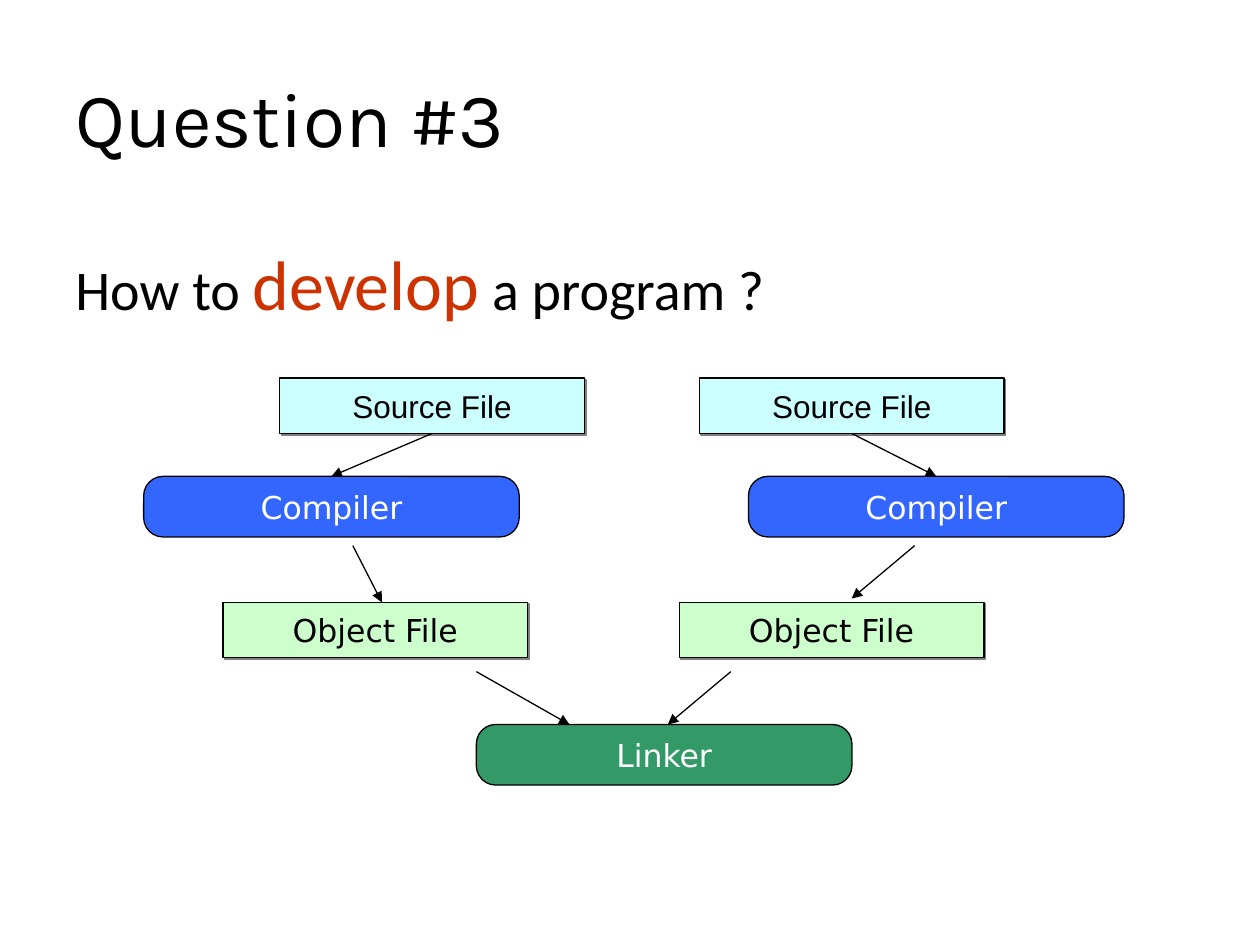
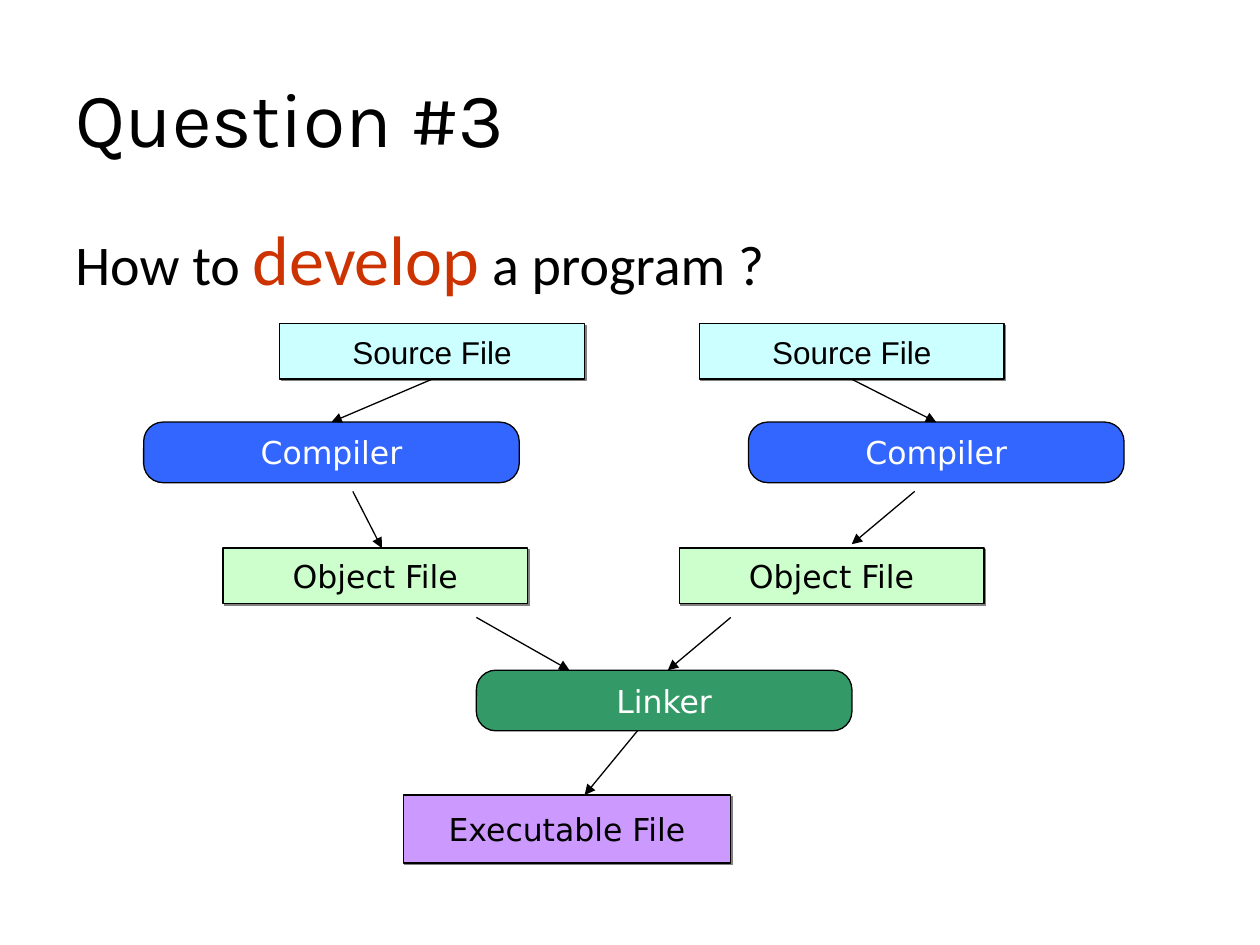
from dataclasses import dataclass

from lxml.etree import SubElement
from pptx import Presentation
from pptx.dml.color import RGBColor
from pptx.enum.shapes import MSO_CONNECTOR, MSO_SHAPE
from pptx.enum.text import MSO_ANCHOR, PP_ALIGN
from pptx.oxml.ns import qn
from pptx.util import Pt

RECT = MSO_SHAPE.RECTANGLE
ROUNDED = MSO_SHAPE.ROUNDED_RECTANGLE
STRAIGHT = MSO_CONNECTOR.STRAIGHT
MIDDLE = MSO_ANCHOR.MIDDLE
CENTER = PP_ALIGN.CENTER
TOP, BOTTOM = 0, 2


@dataclass(frozen=True)
class Theme:
    ink: str = "000000"
    paper: str = "FFFFFF"
    accent: str = "CC3300"
    source: str = "CCFFFF"
    tool: str = "3366FF"
    object: str = "CCFFCC"
    linker: str = "339966"
    executable: str = "CC99FF"
    shadow: str = "808080"
    title_font: str = "Karla"
    body_font: str = "Calibri"
    source_font: str = "Arial"
    box_font: str = "DejaVu Sans"
    title_size: float = 44
    body_size: float = 32
    accent_size: float = 40
    box_size: float = 18
    line_width: float = 0.75


THEME = Theme()
FILE_SIZE = (174.2, 31.7)
TOOL_SIZE = (214.6, 34.6)
EXECUTABLE_SIZE = (187.2, 38.9)
COMPILER_ROW, OBJECT_ROW, LINKER_ROW, EXECUTABLE_ROW = 56.2, 128.2, 198, 269.3


def rgb(value):
    return RGBColor.from_string(value)


def style(r, font, size, color):
    r.font.name = font
    r.font.size = Pt(size)
    r.font.color.rgb = rgb(color)


def add_text(s, top, height, runs, anchor=None, margin_top=3.6):
    tf = s.shapes.add_textbox(Pt(36), Pt(top), Pt(648), Pt(height)).text_frame
    tf.word_wrap = True
    tf.margin_top = Pt(margin_top)
    if anchor is not None:
        tf.vertical_anchor = anchor
    p = tf.paragraphs[0]
    for text, font, size, color in runs:
        r = p.add_run()
        r.text = text
        style(r, font, size, color)


def add_box(s, kind, left, top, size, text, fill, color, font=THEME.box_font):
    sp = s.shapes.add_shape(kind, Pt(left), Pt(top), *map(Pt, size))
    sp.shadow.inherit = False
    sp.fill.solid()
    sp.fill.fore_color.rgb = rgb(fill)
    sp.line.color.rgb = rgb(THEME.ink)
    sp.line.width = Pt(THEME.line_width)
    tf = sp.text_frame
    tf.text = text
    tf.word_wrap = False
    tf.vertical_anchor = MIDDLE
    p = tf.paragraphs[0]
    p.alignment = CENTER
    style(p.runs[0], font, THEME.box_size, color)
    return sp


def add_file(s, left, top, text, fill, font=THEME.box_font, size=FILE_SIZE):
    sp = add_box(s, RECT, left, top, size, text, fill, THEME.ink, font)
    effects = sp._element.spPr.find(qn("a:effectLst"))
    shadow = SubElement(effects, qn("a:outerShdw"), dist=str(Pt(1.4)),
                        dir="2700000", algn="ctr", rotWithShape="0")
    SubElement(shadow, qn("a:srgbClr"), val=THEME.shadow)
    return sp


def add_tool(s, left, top, text, fill):
    sp = add_box(s, ROUNDED, left, top, TOOL_SIZE, text, fill, THEME.paper)
    sp.adjustments[0] = 0.32
    return sp


def add_arrow(s, x1, y1, x2, y2):
    arrow = s.shapes.add_connector(STRAIGHT, Pt(x1), Pt(y1), Pt(x2), Pt(y2))
    arrow.line.color.rgb = rgb(THEME.ink)
    arrow.line.width = Pt(THEME.line_width)
    SubElement(arrow.line._get_or_add_ln(), qn("a:tailEnd"), type="triangle")
    SubElement(arrow._element.spPr, qn("a:effectLst"))
    return arrow


def join_down(s, upper, lower):
    arrow = add_arrow(s, 0, 0, 0, 0)
    arrow.begin_connect(upper, BOTTOM)
    arrow.end_connect(lower, TOP)


def add_question(prs, question_top):
    s = prs.slides.add_slide(prs.slide_layouts[6])
    add_text(s, 21.6, 90, [("Question #3", THEME.title_font, THEME.title_size, THEME.ink)], MIDDLE)
    add_text(s, question_top, 79.2, [
        ("How to ", THEME.body_font, THEME.body_size, THEME.ink),
        ("develop", THEME.body_font, THEME.accent_size, THEME.accent),
        (" a program ?", THEME.body_font, THEME.body_size, THEME.ink),
    ], margin_top=11.6)
    return s


def add_branch(s, top, source_x, compiler_x, object_x, to_object, to_linker):
    source = add_file(s, source_x, top, "Source File", THEME.source, THEME.source_font)
    compiler = add_tool(s, compiler_x, top + COMPILER_ROW, "Compiler", THEME.tool)
    add_file(s, object_x, top + OBJECT_ROW, "Object File", THEME.object)
    join_down(s, source, compiler)
    for x1, y1, x2, y2 in (to_object, to_linker):
        add_arrow(s, x1, top + y1, x2, top + y2)


def add_build_flow(s, top):
    add_branch(s, top, 159.8, 82.1, 127.4,
               (201.6, 95.8, 218.2, OBJECT_ROW), (272.2, 167.8, 325.4, LINKER_ROW))
    add_branch(s, top, 399.6, 427.7, 388.1,
               (522.7, 95.8, 486.7, 126), (417.6, 167.8, 381.6, LINKER_ROW))
    add_tool(s, 272.2, top + LINKER_ROW, "Linker", THEME.linker)


def add_executable(s, top):
    linker_bottom = top + LINKER_ROW + TOOL_SIZE[1]
    add_arrow(s, 364.3, linker_bottom, 334.1, top + EXECUTABLE_ROW)
    add_file(s, 230.4, top + EXECUTABLE_ROW, "Executable File",
             THEME.executable, size=EXECUTABLE_SIZE)


def main():
    prs = Presentation()
    prs.slide_width, prs.slide_height = Pt(720), Pt(540)

    add_build_flow(add_question(prs, 126), 216)

    s = add_question(prs, 111.6)
    add_build_flow(s, 185)
    add_executable(s, 185)

    prs.save("out.pptx")


if __name__ == "__main__":
    main()
